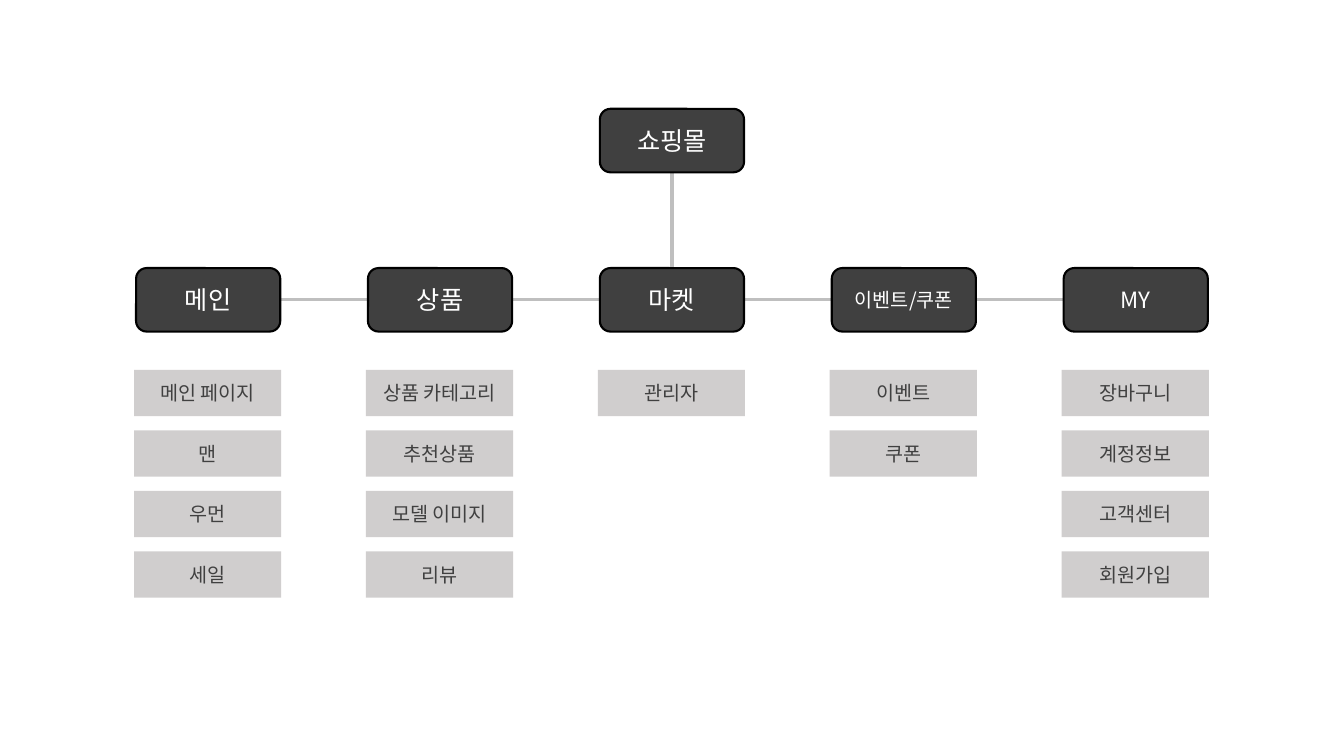
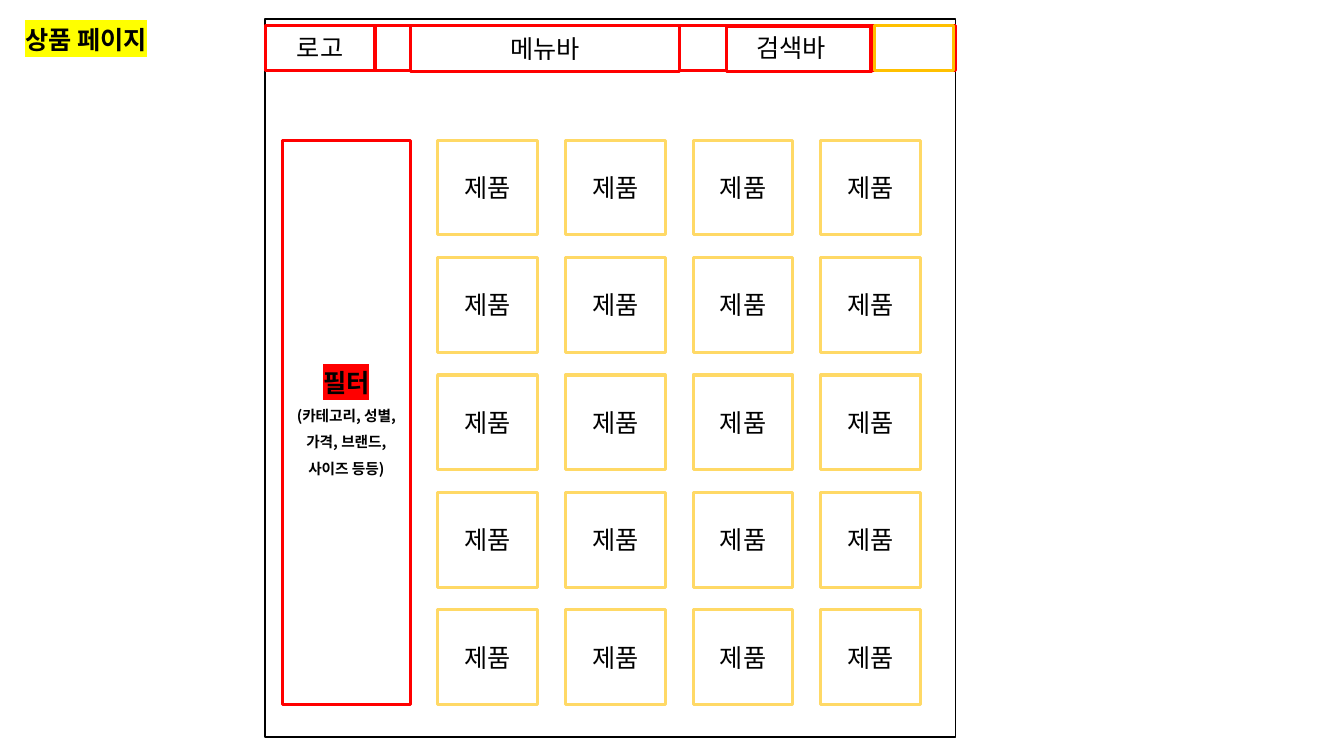
import dataclasses
import itertools

import lxml.etree
import pptx
import pptx.dml.color
import pptx.enum.shapes
import pptx.enum.text
import pptx.oxml.ns
import pptx.util

SHAPE = pptx.enum.shapes.MSO_SHAPE
ALIGN = pptx.enum.text.PP_ALIGN
ANCHOR = pptx.enum.text.MSO_ANCHOR
TOP, LEFT, BOTTOM, RIGHT = range(4)


@dataclasses.dataclass(frozen=True)
class Theme:
    font: str = "Noto Sans CJK KR"
    white: str = "FFFFFF"
    black: str = "000000"
    charcoal: str = "404040"
    silver: str = "D0CECE"
    link: str = "BFBFBF"
    red: str = "FF0000"
    yellow: str = "FFFF00"
    amber: str = "FFC000"
    sand: str = "FFD966"
    large: float = 18
    medium: float = 16
    small: float = 14
    note: float = 10.5
    heavy_line: float = 2.25
    node_line: float = 1.5
    thin_line: float = 1


THEME = Theme()

# Site map: section, type size, pages below it
SITE = "쇼핑몰"
SECTIONS = [
    ("메인", THEME.large, ["메인 페이지", "맨", "우먼", "세일"]),
    ("상품", THEME.large, ["상품 카테고리", "추천상품", "모델 이미지", "리뷰"]),
    ("마켓", THEME.large, ["관리자"]),
    ("이벤트/쿠폰", THEME.small, ["이벤트", "쿠폰"]),
    ("MY", THEME.medium, ["장바구니", "계정정보", "고객센터", "회원가입"]),
]
SECTION_PITCH, PAGE_PITCH = 2.3, 0.6
SITE_TOP, SECTION_TOP, PAGE_TOP = 1.08, 2.66, 3.67
NODE_LEFT, NODE_SIZE = 1.35, (1.43, 0.63)
PAGE_LEFT, PAGE_SIZE = 1.33, (1.46, 0.46)

# Product page wireframe
PAGE_TITLE = "상품 페이지"
SEARCH = "검색바"
FILTER = "필터"
FILTER_NOTE = "(카테고리, 성별, 가격, 브랜드, 사이즈 등등)"
PRODUCT = "제품"
HEADER_BACK = [
    ((2.63, 0.25, 6.85, 0.45), THEME.red),
    ((7.21, 0.26, 1.43, 0.45), THEME.red),
]
ACCOUNT_AREA = (8.67, 0.25, 0.79, 0.45)
LOGO_AREA = (2.63, 0.25, 1.09, 0.45)
MENU_AREA = (4.07, 0.25, 2.67, 0.46)
MENU, LOGO = "메뉴바", "로고"
PRODUCT_ROWS, PRODUCT_COLUMNS = 5, 4
PRODUCT_ORIGIN, PRODUCT_PITCH = (4.34, 1.39), (1.267, 1.165)
PRODUCT_SIZE = (0.99, 0.94)


def rgb(value):
    return pptx.dml.color.RGBColor.from_string(value)


def inches(lengths):
    return [pptx.util.Inches(length) for length in lengths]


def color_element(tag, color, **attributes):
    element = lxml.etree.Element(pptx.oxml.ns.qn(tag), attributes)
    parent = element
    if tag == "a:ln":
        parent = lxml.etree.SubElement(element, pptx.oxml.ns.qn("a:solidFill"))
    lxml.etree.SubElement(parent, pptx.oxml.ns.qn("a:srgbClr"), val=color)
    return element


def write(paragraph, text, size=THEME.large, color=THEME.black, bold=None,
          highlight=None, outline=None):
    run = paragraph.add_run()
    run.text = text
    formats = {"size": pptx.util.Pt(size), "bold": bold, "name": THEME.font}
    for name, value in formats.items():
        setattr(run.font, name, value)
    run.font.color.rgb = rgb(color)
    properties = run.font._element
    latin = properties.find(pptx.oxml.ns.qn("a:latin"))
    latin.addnext(lxml.etree.Element(pptx.oxml.ns.qn("a:ea"), typeface=THEME.font))
    if highlight:
        latin.addprevious(color_element("a:highlight", highlight))
    if outline:
        properties.insert(0, color_element("a:ln", outline, w="9525"))


def add_box(shapes, area, text=None, kind=SHAPE.RECTANGLE, fill=THEME.white,
            line=None, width=THEME.heavy_line, **text_format):
    box = shapes.add_shape(kind, *inches(area))
    box.shadow.inherit = False
    if fill:
        box.fill.solid()
        box.fill.fore_color.rgb = rgb(fill)
    else:
        box.fill.background()
    if line:
        box.line.color.rgb = rgb(line)
        box.line.width = pptx.util.Pt(width)
    else:
        box.line.fill.background()
    if text:
        box.text_frame.vertical_anchor = ANCHOR.MIDDLE
        paragraph = box.text_frame.paragraphs[0]
        paragraph.alignment = ALIGN.CENTER
        write(paragraph, text, **text_format)
    return box


def add_label(shapes, area, text, **text_format):
    frame = shapes.add_textbox(*inches(area)).text_frame
    frame.word_wrap = True
    frame.auto_size = pptx.enum.text.MSO_AUTO_SIZE.SHAPE_TO_FIT_TEXT
    write(frame.paragraphs[0], text, **text_format)


def add_link(shapes):
    link = shapes.add_connector(pptx.enum.shapes.MSO_CONNECTOR.STRAIGHT, 0, 0, 0, 0)
    link.line.color.rgb = rgb(THEME.link)
    link.line.width = pptx.util.Pt(THEME.heavy_line)
    lxml.etree.SubElement(link._element.spPr, pptx.oxml.ns.qn("a:effectLst"))
    return link


def build_site_map(slide):
    shapes = slide.shapes
    # Links come first so that they lie behind the nodes
    links = [add_link(shapes) for _ in SECTIONS]
    node_format = {"kind": SHAPE.ROUNDED_RECTANGLE, "fill": THEME.charcoal,
                   "line": THEME.black, "width": THEME.node_line,
                   "color": THEME.white}
    middle = len(SECTIONS) // 2
    site = add_box(shapes, (NODE_LEFT + middle * SECTION_PITCH, SITE_TOP, *NODE_SIZE),
                   SITE, **node_format)
    nodes = []
    for column, (section, size, pages) in enumerate(SECTIONS):
        shift = column * SECTION_PITCH
        nodes.append(add_box(shapes, (NODE_LEFT + shift, SECTION_TOP, *NODE_SIZE),
                             section, size=size, **node_format))
        for row, page in enumerate(pages):
            top = PAGE_TOP + row * PAGE_PITCH
            add_box(shapes, (PAGE_LEFT + shift, top, *PAGE_SIZE), page,
                    fill=THEME.silver, size=THEME.small, color=THEME.charcoal)
    joints = [(site, BOTTOM, nodes[middle], TOP)]
    joints += [(left, RIGHT, right, LEFT) for left, right in zip(nodes, nodes[1:])]
    for link, (start, start_side, end, end_side) in zip(links, joints):
        link.begin_connect(start, start_side)
        link.end_connect(end, end_side)


def build_product_page(slide):
    shapes = slide.shapes
    add_box(shapes, (2.63, 0.19, 6.85, 7.12), line=THEME.black, width=THEME.thin_line)

    header = shapes.add_group_shape().shapes
    for area, line in HEADER_BACK:
        add_box(header, area, line=line)
    add_label(header, (7.4, 0.27, 1.08, 0.4), SEARCH)
    add_box(header, ACCOUNT_AREA, line=THEME.amber)
    add_box(header, LOGO_AREA, LOGO, fill=None, line=THEME.red, outline=THEME.black)
    add_box(header, MENU_AREA, MENU, line=THEME.red)

    sidebar = add_box(shapes, (2.8, 1.39, 1.27, 5.6), FILTER, line=THEME.red,
                      bold=True, highlight=THEME.red)
    note = sidebar.text_frame.add_paragraph()
    note.alignment = ALIGN.CENTER
    note.line_spacing = 1.5
    write(note, FILTER_NOTE, size=THEME.note, bold=True)

    add_label(shapes, (0.15, 0.19, 1.42, 0.4), PAGE_TITLE, bold=True,
              highlight=THEME.yellow)

    products = shapes.add_group_shape().shapes
    for row, column in itertools.product(range(PRODUCT_ROWS), range(PRODUCT_COLUMNS)):
        corner = [origin + step * pitch for origin, step, pitch
                  in zip(PRODUCT_ORIGIN, (column, row), PRODUCT_PITCH)]
        add_box(products, (*corner, *PRODUCT_SIZE), PRODUCT, line=THEME.sand)


def main():
    deck = pptx.Presentation()
    deck.slide_width, deck.slide_height = inches((13.33, 7.5))
    for build in (build_site_map, build_product_page):
        build(deck.slides.add_slide(deck.slide_layouts[6]))
    deck.save("out.pptx")


if __name__ == "__main__":
    main()
